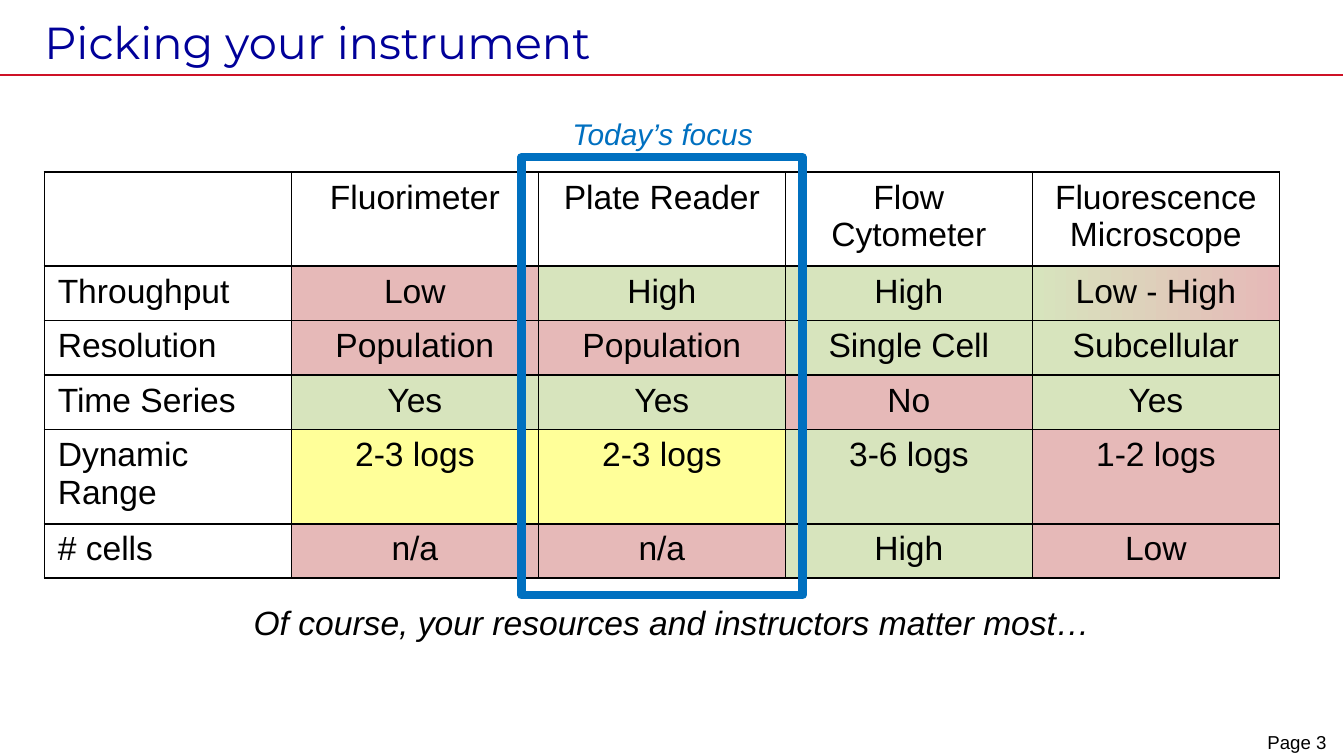
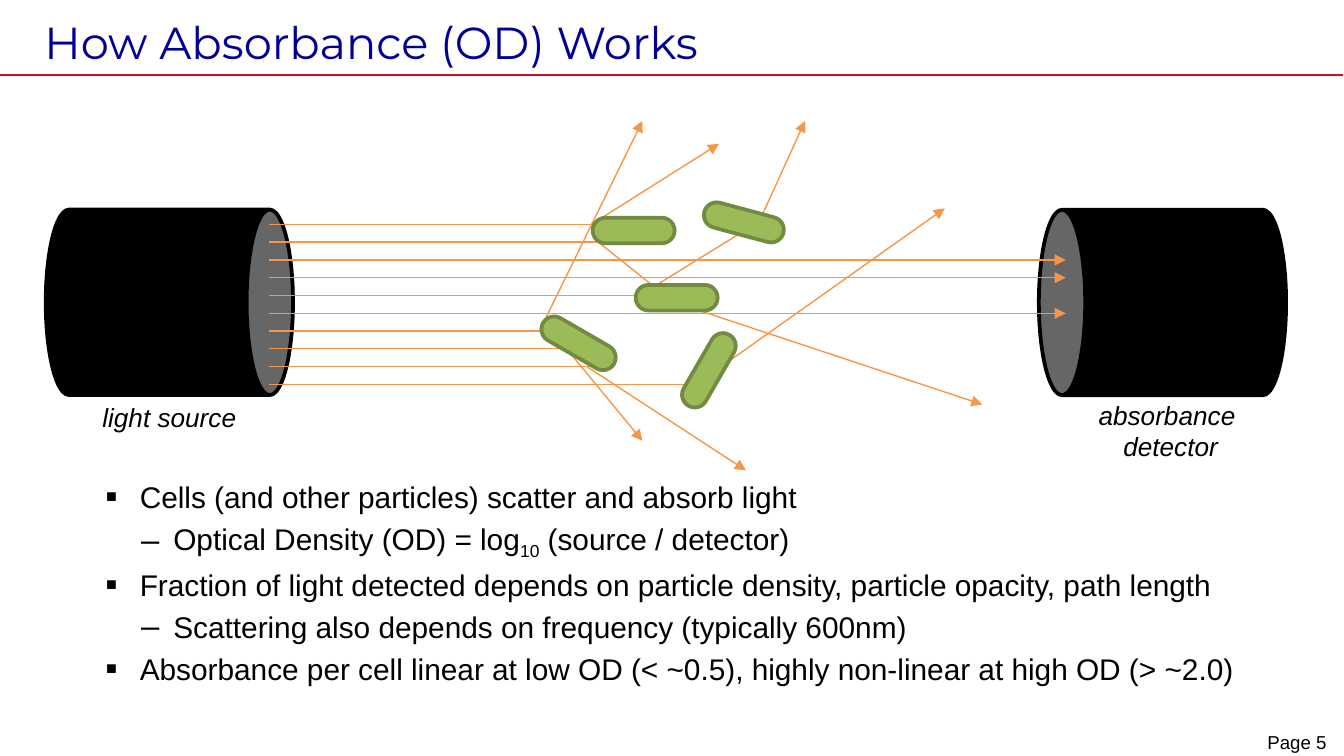
from typing import NamedTuple

from lxml import etree
from pptx import Presentation
from pptx.dml.color import RGBColor
from pptx.enum import shapes, text
from pptx.oxml.ns import qn
from pptx.util import Inches, Pt

BLACK, NAVY, RED, BLUE = "000000", "000099", "CE1126", "0070C0"
GOOD, BAD, FAIR = "D7E4BD", "E6B9B8", "FFFF99"
ORANGE, GREEN, DARK_GREEN = "F79646", "9BBB59", "738A42"
BODY_FONT, TITLE_FONT = "Arial", "Montserrat"
LEFT, CENTER = text.PP_ALIGN.LEFT, text.PP_ALIGN.CENTER


class Box(NamedTuple):
    x: float
    y: float
    w: float
    h: float


class Ray(NamedTuple):
    x1: float
    y1: float
    x2: float
    y2: float
    arrow: bool = True


class Cell(NamedTuple):
    """A bacterium, placed by its unrotated corner."""
    x: float
    y: float
    angle: int


class Bullet(NamedTuple):
    char: str
    size: int
    margin: float
    hang: float


BULLETS = [Bullet("■", 60, 0.25, 0.25), Bullet("–", 110, 0.5, 0.24)]

COLUMNS = ["", "Fluorimeter", "Plate Reader", "Flow Cytometer", "Fluorescence Microscope"]
RATINGS = [
    ("Throughput", ("Low", BAD), ("High", GOOD), ("High", GOOD), ("Low - High", (GOOD, BAD))),
    ("Resolution", ("Population", BAD), ("Population", BAD), ("Single Cell", GOOD), ("Subcellular", GOOD)),
    ("Time Series", ("Yes", GOOD), ("Yes", GOOD), ("No", BAD), ("Yes", GOOD)),
    ("Dynamic Range", ("2-3 logs", FAIR), ("2-3 logs", FAIR), ("3-6 logs", GOOD), ("1-2 logs", BAD)),
    ("# cells", ("n/a", BAD), ("n/a", BAD), ("High", GOOD), ("Low", BAD)),
]

BEAM_X, DETECTOR_X = 2, 7.93
BEAM_TOP, BEAM_BOTTOM = 1.67, 2.86
BEAM_ENDS = [4.53, 4.53, DETECTOR_X, DETECTOR_X, 5.21, DETECTOR_X, 4.2, 4.41, 4.41, 5.21]
SCATTERED = [
    Ray(4.02, 2.45, 4.78, 0.9),
    Ray(5.18, 2.86, 7.03, 1.55),
    Ray(4.37, 2.73, 5.55, 3.5),
    Ray(4.22, 2.6, 4.78, 3.28),
    Ray(4.74, 2.21, 5.55, 1.71, arrow=False),
    Ray(4.45, 1.8, 5.05, 2.28),
    Ray(4.4, 1.67, 5.35, 1.07),
    Ray(4.93, 2.22, 7.31, 3.01),
    Ray(5.64, 1.67, 5.99, 0.9),
]
CELLS = [
    Cell(4.41, 1.62, 0),
    Cell(5.23, 1.56, 15),
    Cell(4.97, 2.66, 300),
    Cell(4, 2.46, 30),
    Cell(4.73, 2.12, 0),
]
NOTES = [
    (0, ["Cells (and other particles) scatter and absorb light"]),
    (1, ["Optical Density (OD) = log", "10", " (source / detector)"]),
    (0, ["Fraction of light detected depends on particle density, particle opacity, path length"]),
    (1, ["Scattering also depends on frequency (typically 600nm)"]),
    (0, ["Absorbance per cell linear at low OD (< ~0.5), highly non-linear at high OD (> ~2.0)"]),
]


def rgb(color: str) -> RGBColor:
    return RGBColor.from_string(color)


def inches(box: tuple) -> list:
    return [Inches(v) for v in box]


def add_child(parent, tag: str, **attrs: str):
    child = etree.SubElement(parent, qn(tag))
    for name, value in attrs.items():
        child.set(name, value)
    return child


def add_run(p, words: str, size: float, color: str = BLACK, font: str = BODY_FONT,
            italic: bool = False):
    r = p.add_run()
    r.text = words
    r.font.name, r.font.size, r.font.italic = font, Pt(size), italic
    r.font.color.rgb = rgb(color)
    return r


def set_margins(tf, left: float = 0, top: float = 0, right: float = 0, bottom: float = 0) -> None:
    tf.margin_left, tf.margin_top = Inches(left), Inches(top)
    tf.margin_right, tf.margin_bottom = Inches(right), Inches(bottom)


def place(sp, box: Box):
    """Move a placeholder and return its text frame, without autofit."""
    sp.left, sp.top, sp.width, sp.height = inches(box)
    sp.text_frame.word_wrap = True
    sp.text_frame.auto_size = text.MSO_AUTO_SIZE.NONE
    return sp.text_frame


def add_line(slide, ray: Ray, color: str, width: float) -> None:
    line = slide.shapes.add_connector(shapes.MSO_CONNECTOR.STRAIGHT, *inches(ray[:4]))
    line.line.color.rgb = rgb(color)
    line.line.width = Pt(width)
    if ray.arrow:
        add_child(line.line._get_or_add_ln(), "a:tailEnd", type="triangle")
    add_child(line._element.spPr, "a:effectLst")


def add_shape(parent, kind, box: Box, line: str, width: float, fill: str = "", angle: int = 0):
    sp = parent.shapes.add_shape(kind, *inches(box))
    sp.shadow.inherit = False
    sp.rotation = angle
    if fill:
        sp.fill.solid()
        sp.fill.fore_color.rgb = rgb(fill)
    else:
        sp.fill.background()
    sp.line.color.rgb = rgb(line)
    sp.line.width = Pt(width)
    return sp


def add_label(parent, box: Box, lines: list[str], size: float, color: str = BLACK) -> None:
    sp = parent.shapes.add_textbox(*inches(box))
    tf = sp.text_frame
    tf.word_wrap = False
    tf.auto_size = text.MSO_AUTO_SIZE.SHAPE_TO_FIT_TEXT
    for i, words in enumerate(lines):
        p = tf.add_paragraph() if i else tf.paragraphs[0]
        p.alignment = CENTER
        add_run(p, words, size, color, italic=True)


def add_slide(prs, title: str, page: int):
    """Add a slide with the shared title, rule and page number."""
    slide = prs.slides.add_slide(prs.slide_layouts[1])
    tf = place(slide.shapes.title, Box(0.33, 0.08, 7.68, 0.48))
    set_margins(tf, 0, 0.05, 0.1, 0.05)
    tf.vertical_anchor = text.MSO_ANCHOR.BOTTOM
    p = tf.paragraphs[0]
    p.alignment, p.line_spacing = LEFT, 0.85
    add_run(p, title, 24, NAVY, TITLE_FONT)

    add_line(slide, Ray(0, 0.56, 9.99, 0.56, arrow=False), RED, 1)
    footer = slide.shapes.add_textbox(*inches(Box(9.3, 5.44, 0.7, 0.14))).text_frame
    footer.word_wrap = True
    set_margins(footer)
    footer.paragraphs[0].alignment = CENTER
    add_run(footer.paragraphs[0], f"Page {page}", 10)
    return slide


def add_body(slide, box: Box):
    tf = place(slide.placeholders[1], box)
    set_margins(tf)
    tf.vertical_anchor = text.MSO_ANCHOR.TOP
    tf.paragraphs[0].space_before = Pt(0)
    return tf


def set_indent(p, margin: float, hang: float):
    pPr = p._p.get_or_add_pPr()
    pPr.set("marL", str(Inches(margin)))
    pPr.set("indent", str(-Inches(hang)))
    return pPr


def set_bullet(p, bullet: Bullet) -> None:
    pPr = set_indent(p, bullet.margin, bullet.hang)
    add_child(add_child(pPr, "a:buClr"), "a:srgbClr", val=BLACK)
    add_child(pPr, "a:buSzPct", val=str(bullet.size * 1000))
    add_child(pPr, "a:buFont", typeface=BODY_FONT)
    add_child(pPr, "a:buChar", char=bullet.char)


def fill_cell(cell, fill) -> None:
    """Fill with one colour, with a left-to-right pair, or not at all."""
    if not fill:
        cell.fill.background()
    elif isinstance(fill, tuple):
        cell.fill.gradient()
        cell.fill.gradient_angle = 0
        for stop, color in zip(cell.fill.gradient_stops, fill):
            stop.color.rgb = rgb(color)
    else:
        cell.fill.solid()
        cell.fill.fore_color.rgb = rgb(fill)


def border_cell(cell) -> None:
    tcPr = cell._tc.get_or_add_tcPr()
    for i, side in enumerate(("a:lnL", "a:lnR", "a:lnT", "a:lnB")):
        ln = add_child(tcPr, side, w=str(Pt(1)))
        add_child(add_child(ln, "a:solidFill"), "a:srgbClr", val=BLACK)
        tcPr.insert(i, ln)


def add_ratings_table(slide) -> None:
    rows = [[(name, "") for name in COLUMNS]]
    rows += [[(name, ""), *ratings] for name, *ratings in RATINGS]
    frame = slide.shapes.add_table(len(rows), len(COLUMNS), *inches(Box(0.33, 1.28, 9.19, 3.02)))
    table = frame.table
    table.first_row = table.horz_banding = False
    for row in table.rows:
        row.height = Pt(29.2)
    frame.height = Inches(3.02)
    for r, row in enumerate(rows):
        for c, (words, fill) in enumerate(row):
            cell = table.cell(r, c)
            fill_cell(cell, fill)
            border_cell(cell)
            if words:
                p = cell.text_frame.paragraphs[0]
                p.alignment = CENTER if c else LEFT
                add_run(p, words, 18)


def build_instrument_slide(prs) -> None:
    slide = add_slide(prs, "Picking your instrument", 3)
    p = add_body(slide, Box(0.33, 4.48, 9.33, 0.54)).paragraphs[0]
    p.alignment = CENTER
    add_child(set_indent(p, 0.01, 0), "a:buNone")
    add_run(p, "Of course, your resources and instructors matter most…", 18, italic=True)

    add_ratings_table(slide)
    focus = slide.shapes.add_group_shape()
    add_shape(focus, shapes.MSO_SHAPE.RECTANGLE, Box(3.88, 1.17, 2.09, 3.26), BLUE, 4.5)
    add_label(focus, Box(4.15, 0.81, 1.56, 0.37), ["Today’s focus"], 16, BLUE)


def build_absorbance_slide(prs) -> None:
    slide = add_slide(prs, "How Absorbance (OD) Works", 5)
    tf = add_body(slide, Box(0.79, 3.56, 8.52, 1.66))
    for i, (level, parts) in enumerate(NOTES):
        p = tf.add_paragraph() if i else tf.paragraphs[0]
        p.level = level
        set_bullet(p, BULLETS[level])
        for part in parts:
            r = add_run(p, part, 16)
            if part == "10":
                r._r.get_or_add_rPr().set("baseline", "-25000")

    for x, angle in ((7.96, 90), (0.57, 270)):
        can = add_shape(slide, shapes.MSO_SHAPE.CAN, Box(x, 1.33, 1.38, 1.84), BLACK, 2, BLACK, angle)
        can._element.spPr.find(qn("a:xfrm")).set("flipV", "1")
    add_label(slide, Box(8.07, 2.92, 1.28, 0.57), ["absorbance ", "detector"], 14)
    add_label(slide, Box(0.66, 2.94, 1.2, 0.34), ["light source"], 14)

    pitch = (BEAM_BOTTOM - BEAM_TOP) / (len(BEAM_ENDS) - 1)
    beams = []
    for i, end in enumerate(BEAM_ENDS):
        y = BEAM_TOP + i * pitch
        beams.append(Ray(BEAM_X, y, end, y, arrow=end == DETECTOR_X))
    for ray in beams + SCATTERED:
        add_line(slide, ray, ORANGE, 0.75)
    for cell in CELLS:
        sp = add_shape(slide, shapes.MSO_SHAPE.ROUNDED_RECTANGLE, Box(cell.x, cell.y, 0.61, 0.19),
                       DARK_GREEN, 2, GREEN, cell.angle)
        sp.adjustments[0] = 0.5


def main() -> None:
    prs = Presentation()
    prs.slide_width = Inches(10)
    prs.slide_height = prs.slide_width * 9 // 16
    build_instrument_slide(prs)
    build_absorbance_slide(prs)
    prs.save("out.pptx")


if __name__ == "__main__":
    main()
